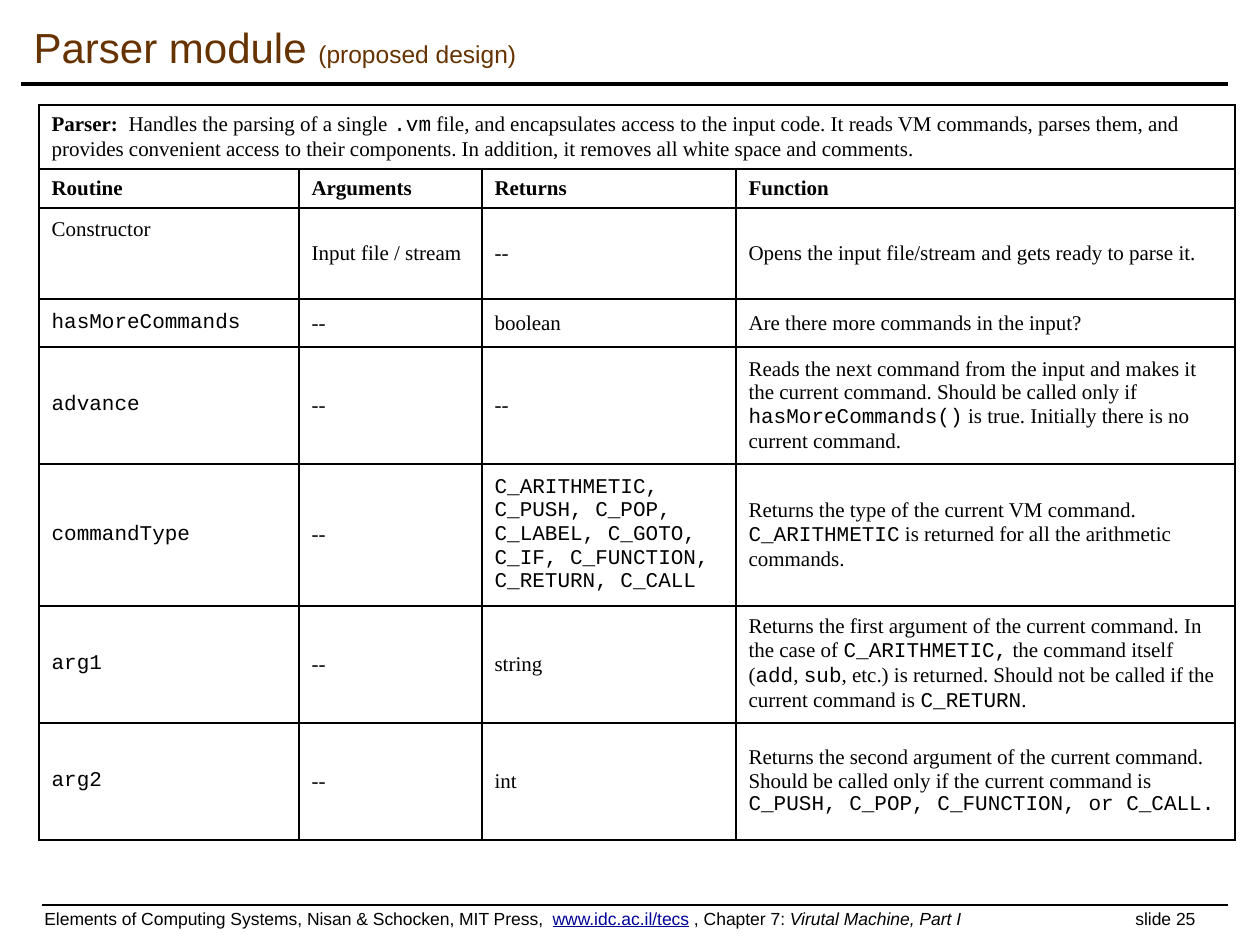
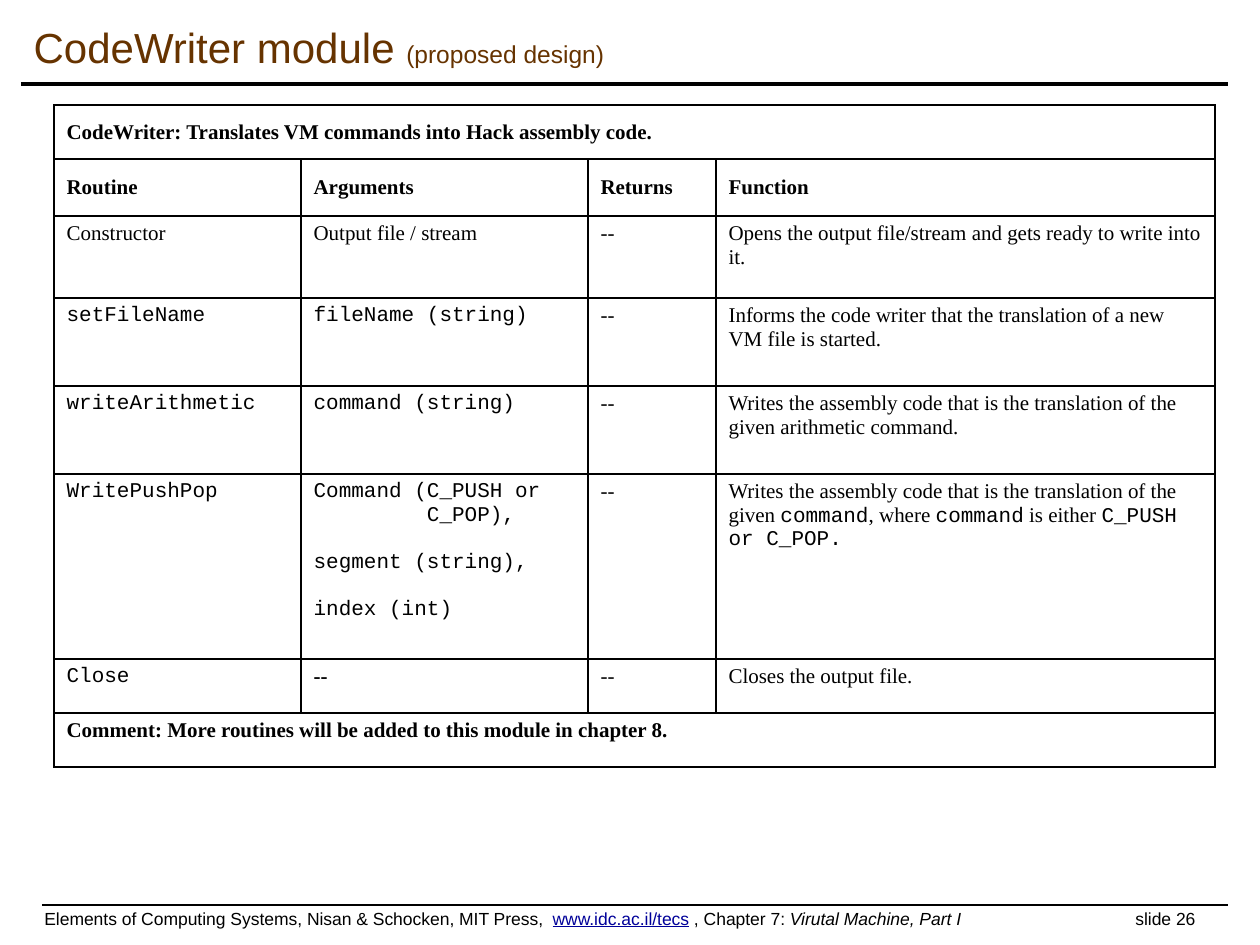
from lxml.etree import SubElement
from pptx import Presentation
from pptx.dml.color import RGBColor as Rgb
from pptx.enum.shapes import MSO_CONNECTOR as Line
from pptx.enum.text import MSO_ANCHOR as Anchor, MSO_AUTO_SIZE as Auto, PP_ALIGN as Align
from pptx.oxml import parse_xml
from pptx.oxml.ns import nsdecls, qn
from pptx.util import Pt

PX = 914400 / 126
COLORS = {"ink": "000000", "title": "663300", "link": "000099", "paper": "FFFFFF"}
SANS, SERIF, MONO = "Arial", "Times New Roman", "Courier New"
HEAD = ("*Routine*", "*Arguments*", "*Returns*", "*Function*")
TAIL = "(proposed design)"
TITLE = (21, 10, 1207, 73)
FOOT = (32, 901, 1197, 34)
STOP = 1091
RULES = [(21, 1228, 84, 2), (42, 1228, 905, 1)]
GAP = 13.5

# Footer runs: text, colour, extra font values
CREDIT = [
    ("Elements of Computing Systems, Nisan & Schocken, MIT Press,  ", "ink", {}),
    ("www.idc.ac.il/tecs", "link", {"underline": True}),
    (" , Chapter 7: ", "ink", {}),
    ("Virutal Machine, Part I", "ink", {"italic": True}),
]

# In cells, `x` is code, *x* is bold and an empty line is a gap
PARSER = [
    ("*Parser:*  Handles the parsing of a single `.vm` file, and encapsulates access to the "
     "input code. It reads VM commands, parses them, and provides convenient access to their "
     "components. In addition, it removes all white space and comments.",),
    HEAD,
    ("Constructor", "Input file / stream", "--",
     "Opens the input file/stream and gets ready to parse it."),
    ("`hasMoreCommands`", "--", "boolean", "Are there more commands in the input?"),
    ("`advance`", "--", "--",
     "Reads the next command from the input and makes it the current command. Should be "
     "called only if `hasMoreCommands()` is true. Initially there is no current command."),
    ("`commandType`", "--",
     "`C_ARITHMETIC, C_PUSH, C_POP, C_LABEL, C_GOTO, C_IF, C_FUNCTION, C_RETURN, C_CALL`",
     "Returns the type of the current VM command. `C_ARITHMETIC` is returned for all the "
     "arithmetic commands."),
    ("`arg1`", "--", "string",
     "Returns the first argument of the current command. In the case of `C_ARITHMETIC,` the "
     "command itself (`add`, `sub`, etc.) is returned. Should not be called if the current "
     "command is `C_RETURN`."),
    ("`arg2`", "--", "int",
     "Returns the second argument of the current command. Should be called only if the "
     "current command is `C_PUSH, C_POP, C_FUNCTION, or C_CALL.`"),
]
WRITER = [
    ("*CodeWriter: Translates VM commands into Hack assembly code.*",),
    HEAD,
    ("Constructor", "Output file / stream", "--",
     "Opens the output file/stream and gets ready to write into it."),
    ("`setFileName`", "`fileName (string)`", "--",
     "Informs the code writer that the translation of a new VM file is started."),
    ("`writeArithmetic`", "`command (string)`", "--",
     "Writes the assembly code that is the translation of the given arithmetic command."),
    ("`WritePushPop`",
     "`Command (C_PUSH or`\n`         C_POP),`\n\n`segment (string),`\n\n`index (int)`", "--",
     "Writes the assembly code that is the translation of the given `command`, where "
     "`command` is either `C_PUSH or C_POP.`"),
    ("`Close`", "*--*", "--", "Closes the output file."),
    ("*Comment: More routines will be added to this module in chapter 8.*",),
]
SLIDES = [
    {"name": "Parser module ", "page": 25, "at": (39, 105), "cols": (260, 183, 254, 499),
     "rows": (64, 39, 91, 48, 117, 142, 117, 117), "cells": PARSER,
     "anchor": Anchor.MIDDLE, "raised": [(2, 0)]},
    {"name": "CodeWriter module ", "page": 26, "at": (54, 105), "cols": (247, 287, 128, 499),
     "rows": (54, 57, 82, 88, 88, 185, 54, 54), "cells": WRITER,
     "anchor": Anchor.TOP, "raised": []},
]


def px(*vals):
    return [round(v * PX) for v in vals]


def rgb(name):
    return Rgb.from_string(COLORS[name])


def assign(obj, vals):
    for key, val in vals.items():
        setattr(obj, key, val)


def add_run(para, text, size, face, color="ink", **extra):
    run = para.add_run()
    run.text = text
    assign(run.font, {"size": Pt(size), "name": face, **extra})
    run.font.color.rgb = rgb(color)


def add_rule(slide, left, right, y, width):
    rule = slide.shapes.add_connector(Line.STRAIGHT, *px(left, y, right, y))
    rule.line.color.rgb = rgb("ink")
    rule.line.width = Pt(width)
    SubElement(rule.element.spPr, qn("a:effectLst"))


def add_title(slide, name):
    title = slide.shapes.title
    assign(title, dict(zip(("left", "top", "width", "height"), px(*TITLE))))
    frame = title.text_frame
    assign(frame, {"word_wrap": True, "auto_size": Auto.NONE, "vertical_anchor": Anchor.MIDDLE})
    para = frame.paragraphs[0]
    para.alignment = Align.LEFT
    for text, size in ((name, 24), (TAIL, 14)):
        add_run(para, text, size, SANS, "title")


def add_footer(slide, page):
    frame = slide.shapes.add_textbox(*px(*FOOT)).text_frame
    assign(frame, {"word_wrap": True, "vertical_anchor": Anchor.MIDDLE})
    para = frame.paragraphs[0]
    tabs = SubElement(para._p.get_or_add_pPr(), qn("a:tabLst"))
    SubElement(tabs, qn("a:tab"), pos=str(px(STOP)[0]), algn="l")
    for text, color, extra in CREDIT:
        add_run(para, text, 10, SANS, color, **extra)
    add_run(para, f"\tslide {page}", 10, SANS)


def fill_text(frame, text):
    """Write marked-up text, one paragraph a line."""
    para, gap = frame.paragraphs[0], 0
    for num, line in enumerate(text.split("\n")):
        if not line:
            gap = GAP
            continue
        if num:
            para = frame.add_paragraph()
            para.space_before = Pt(gap)
        gap = 0
        for i, part in enumerate(line.split("`")):
            for j, piece in enumerate(part.split("*")):
                if piece:
                    add_run(para, piece, 12, MONO if i % 2 else SERIF, bold=j % 2 == 1)


def add_frame(cell):
    """Give a cell its white fill and four thin borders."""
    cell.fill.solid()
    cell.fill.fore_color.rgb = rgb("paper")
    props = cell._tc.get_or_add_tcPr()
    for pos, side in enumerate("LRTB"):
        props.insert(pos, parse_xml(
            f'<a:ln{side} {nsdecls("a")} w="12700"><a:solidFill>'
            f'<a:srgbClr val="{COLORS["ink"]}"/></a:solidFill></a:ln{side}>'))


def add_grid(slide, spec):
    cols, rows = spec["cols"], spec["rows"]
    size = px(*spec["at"], sum(cols), sum(rows))
    grid = slide.shapes.add_table(len(rows), len(cols), *size).table
    assign(grid, {"first_row": False, "horz_banding": False})
    for col, width in zip(grid.columns, px(*cols)):
        col.width = width
    for row, height in zip(grid.rows, px(*rows)):
        row.height = height
    for r, texts in enumerate(spec["cells"]):
        for c in range(len(cols)):
            add_frame(grid.cell(r, c))
        if len(texts) == 1:
            grid.cell(r, 0).merge(grid.cell(r, len(cols) - 1))
        for c, text in enumerate(texts):
            cell = grid.cell(r, c)
            cell.vertical_anchor = Anchor.MIDDLE if r < 2 else spec["anchor"]
            fill_text(cell.text_frame, text)
    for r, c in spec["raised"]:
        assign(grid.cell(r, c), {"vertical_anchor": Anchor.TOP, "margin_top": px(10)[0]})


def main():
    deck = Presentation()
    deck.slide_width, deck.slide_height = px(1260, 945)
    for spec in SLIDES:
        slide = deck.slides.add_slide(deck.slide_layouts[5])
        for rule in RULES:
            add_rule(slide, *rule)
        add_footer(slide, spec["page"])
        add_title(slide, spec["name"])
        add_grid(slide, spec)
    deck.save("out.pptx")


if __name__ == "__main__":
    main()
